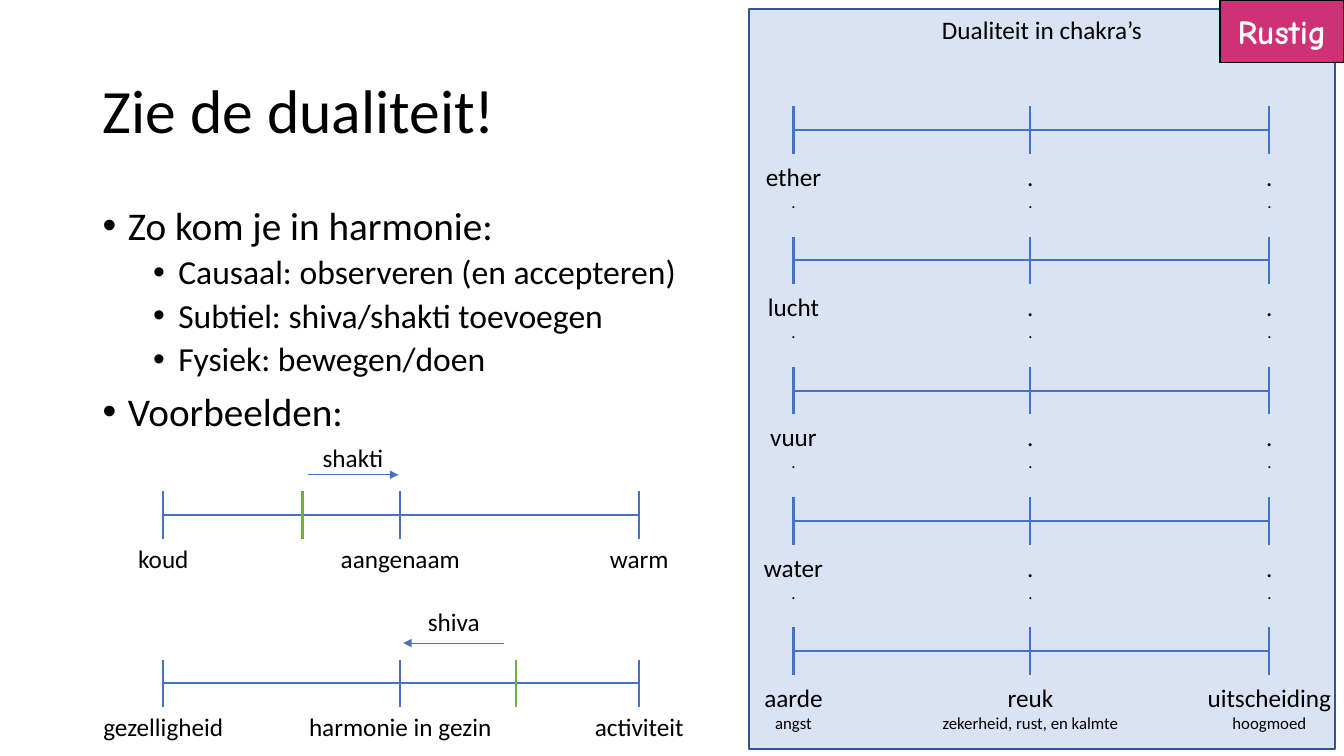
from collections import namedtuple

from lxml import etree
from pptx import Presentation
from pptx import util as u
from pptx.dml.color import RGBColor
from pptx.enum import shapes, text
from pptx.oxml import ns

COLORS = {
    "ink": "000000",
    "white": "FFFFFF",
    "panel": "DAE3F3",
    "panel_line": "325491",
    "axis": "4472C4",
    "marker": "70AD47",
    "badge": "CE3175",
}
Box = namedtuple("Box", "left top width height")
AXIS_WIDTH = 4.72
MIDDLE = 2.35
TICK_HALF = 0.235
CENTER = text.PP_ALIGN.CENTER


def color(name):
    return RGBColor.from_string(COLORS[name])


def inches(box):
    return [u.Inches(value) for value in box]


def add_span(para, words, size, font="Calibri", ink="ink", bold=False):
    span = para.add_run()
    span.text = words
    span.font.size = u.Pt(size)
    span.font.name = font
    span.font.bold = bold
    span.font.color.rgb = color(ink)


def add_line(page, start, end, ink="axis", width=1.5, arrow=False):
    line = page.shapes.add_connector(
        shapes.MSO_CONNECTOR.STRAIGHT, *inches(start), *inches(end))
    line.line.color.rgb = color(ink)
    line.line.width = u.Pt(width)
    if arrow:
        outline = line.line._get_or_add_ln()
        etree.SubElement(outline, ns.qn("a:tailEnd"), type="triangle")
    etree.SubElement(line._element.spPr, ns.qn("a:effectLst"))


def add_rectangle(page, box, fill, outline):
    area = page.shapes.add_shape(shapes.MSO_SHAPE.RECTANGLE, *inches(box))
    area.shadow.inherit = False
    area.fill.solid()
    area.fill.fore_color.rgb = color(fill)
    area.line.color.rgb = color(outline)
    area.line.width = u.Pt(1)
    return area.text_frame


def add_label(page, center, top, width, lines):
    height = 0.4 if len(lines) == 1 else 0.61
    box = Box(center - width / 2, top, width, height)
    frame = page.shapes.add_textbox(*inches(box)).text_frame
    frame.word_wrap = False
    frame.auto_size = text.MSO_AUTO_SIZE.SHAPE_TO_FIT_TEXT
    for index, (words, size) in enumerate(zip(lines, (18, 12))):
        para = frame.add_paragraph() if index else frame.paragraphs[0]
        para.alignment = CENTER
        add_span(para, words, size)


def add_tick(page, x, y, ink="axis"):
    add_line(page, (x, y - TICK_HALF), (x, y + TICK_HALF), ink)


def add_axis(page, left, y, labels, drop):
    add_line(page, (left, y), (left + AXIS_WIDTH, y))
    for offset, (width, *lines) in zip((0, MIDDLE, AXIS_WIDTH), labels):
        add_tick(page, left + offset, y)
        add_label(page, left + offset, y + drop, width, lines)


def add_title(page, box):
    frame = page.shapes.add_textbox(*inches(box)).text_frame
    frame.word_wrap = True
    frame.vertical_anchor = text.MSO_ANCHOR.MIDDLE
    para = frame.paragraphs[0]
    para.line_spacing = 0.9
    add_span(para, "Zie de dualiteit!", 44)


def add_bullets(page, box, items):
    frame = page.shapes.add_textbox(*inches(box)).text_frame
    frame.word_wrap = True
    for index, (level, words) in enumerate(items):
        para = frame.add_paragraph() if index else frame.paragraphs[0]
        para.level = level
        para.line_spacing = 0.9
        para.space_before = u.Pt(5 if level else 10)
        settings = para._p.get_or_add_pPr()
        settings.set("marL", str(u.Inches(0.25 + 0.5 * level)))
        settings.set("indent", str(u.Inches(-0.25)))
        etree.SubElement(settings, ns.qn("a:buFont"), typeface="Arial")
        etree.SubElement(settings, ns.qn("a:buChar"), char="•")
        add_span(para, words, 24 if level else 28)


def add_example(page, box, labels, marker, arrow, force):
    y = box.top + box.height
    add_axis(page, box.left, y, labels, 0.23)
    add_tick(page, box.left + marker, y, "marker")
    start, end = (box.left + offset for offset in arrow)
    add_line(page, (start, y - 0.4), (end, y - 0.4), width=0.5, arrow=True)
    add_label(page, (start + end) / 2, box.top, 0.85, [force])


def add_chakra_panel(page, box, rows):
    frame = add_rectangle(page, box, "panel", "panel_line")
    frame.vertical_anchor = text.MSO_ANCHOR.TOP
    frame.paragraphs[0].alignment = CENTER
    add_span(frame.paragraphs[0], "Dualiteit in chakra’s", 18)
    first, last = box.top + 1.2, box.top + 6.37
    step = (last - first) / (len(rows) - 1)
    for index, labels in enumerate(rows):
        add_axis(page, box.left + 0.44, first + index * step, labels, 0.26)


def add_badge(page, box):
    frame = add_rectangle(page, box, "badge", "ink")
    frame.vertical_anchor = text.MSO_ANCHOR.MIDDLE
    frame.paragraphs[0].alignment = CENTER
    add_span(frame.paragraphs[0], "Rustig", 24, "Comic Neue", "white", True)


def main():
    deck = Presentation()
    deck.slide_width, deck.slide_height = u.Inches(13.33), u.Inches(7.5)
    page = deck.slides.add_slide(deck.slide_layouts[6])
    dot = (0.27, ".", ".")
    rows = [[(0.86, name, "."), dot, dot]
            for name in ("ether", "lucht", "vuur", "water")]
    rows.append([
        (0.86, "aarde", "angst"),
        (2, "reuk", "zekerheid, rust, en kalmte"),
        (1.48, "uitscheiding", "hoogmoed"),
    ])
    add_chakra_panel(page, Box(7.43, 0.09, 5.81, 7.34), rows)
    add_title(page, Box(0.92, 0.4, 11.5, 1.45))
    add_bullets(page, Box(0.92, 2, 11.5, 4.76), [
        (0, "Zo kom je in harmonie:"),
        (1, "Causaal: observeren (en accepteren)"),
        (1, "Subtiel: shiva/shakti toevoegen"),
        (1, "Fysiek: bewegen/doen"),
        (0, "Voorbeelden:"),
    ])
    add_example(
        page, Box(1.62, 4.34, AXIS_WIDTH, 0.77),
        [(0.76, "koud"), (1.44, "aangenaam"), (0.84, "warm")],
        1.38, (1.43, 2.33), "shakti")
    add_example(
        page, Box(1.62, 5.97, AXIS_WIDTH, 0.81),
        [(1.45, "gezelligheid"), (2.07, "harmonie in gezin"), (1.13, "activiteit")],
        3.5, (3.38, 2.38), "shiva")
    add_badge(page, Box(12.1, 0, 1.23, 0.62))
    deck.save("out.pptx")


if __name__ == "__main__":
    main()
